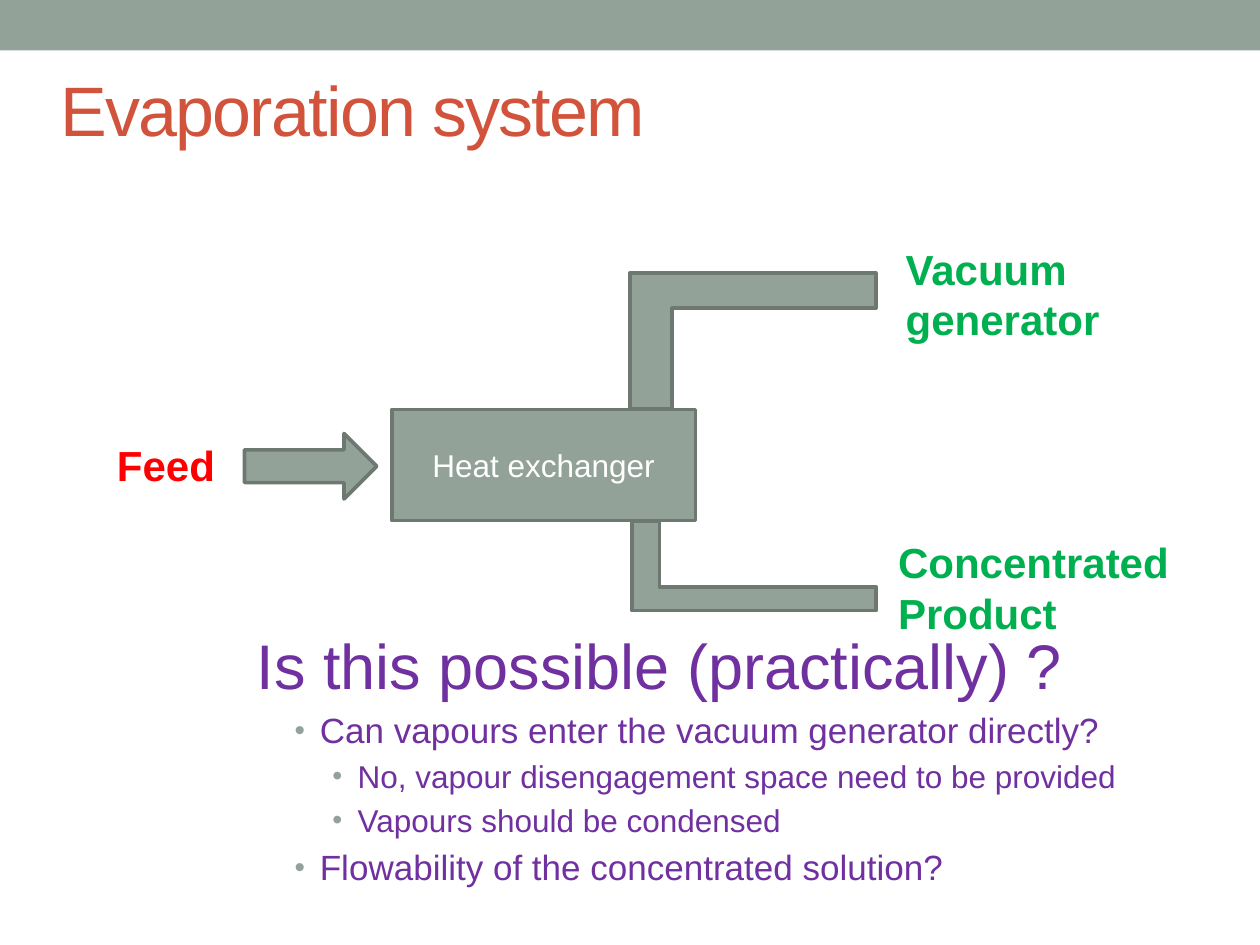
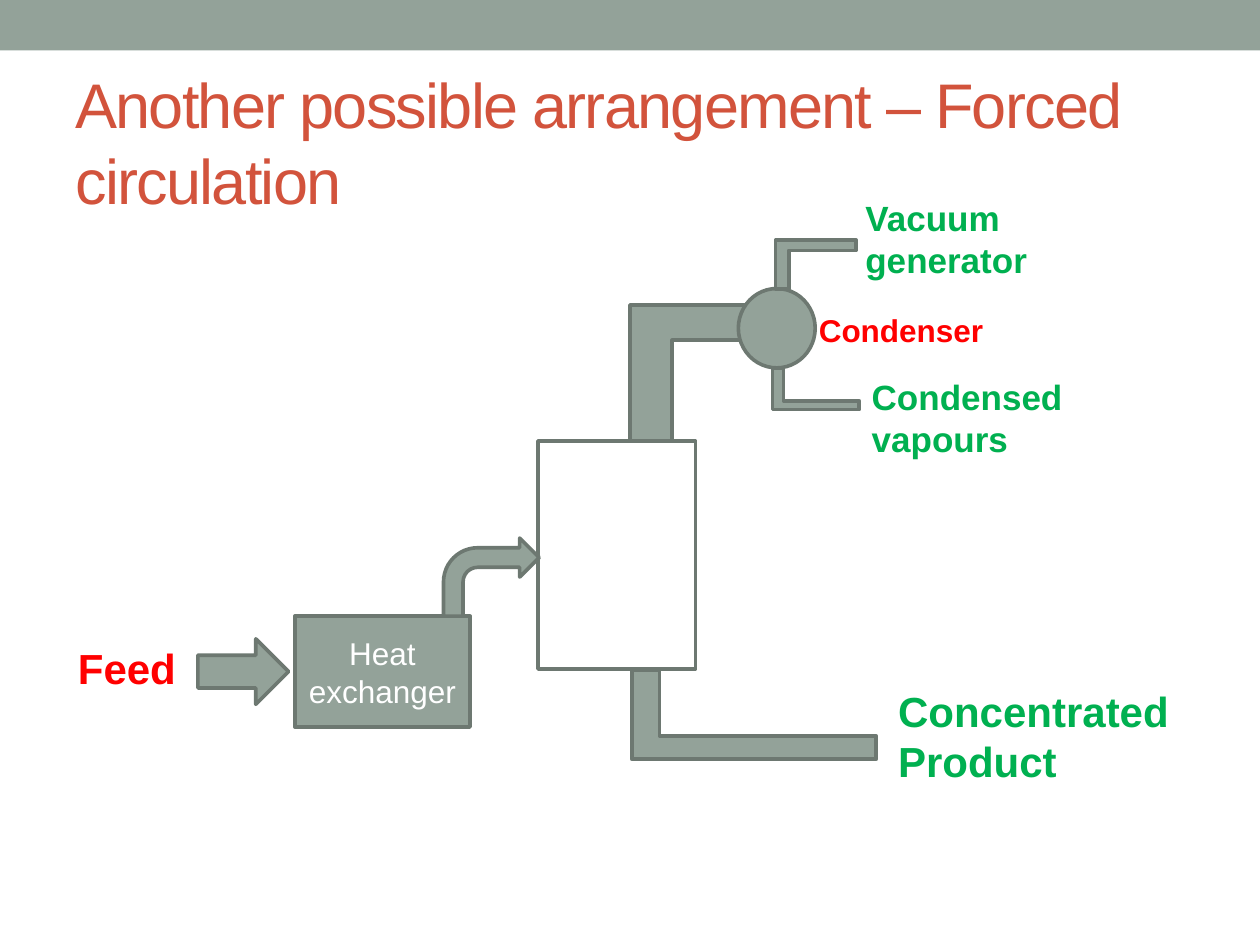
from dataclasses import dataclass

from lxml.etree import SubElement
from pptx import Presentation
from pptx.dml.color import RGBColor
from pptx.enum.shapes import MSO_SHAPE
from pptx.enum.text import MSO_ANCHOR, MSO_AUTO_SIZE, PP_ALIGN
from pptx.oxml.ns import qn
from pptx.util import Inches, Length, Pt

# Shared look; all places are in columns and rows of a 100 by 75 grid
COLUMNS, ROWS = 100, 75
CELL = Inches(0.1)
FONT = "Arial"
SAGE, EDGE, RUST = "93A299", "6D7871", "D2533C"
INPUT, OUTPUT, QUESTION, WHITE = "FF0000", "00B050", "7030A0", "FFFFFF"
EDGE_WIDTH = Pt(2.08)
LINE_HEIGHT = 1.2


@dataclass(frozen=True)
class Area:
    left: float
    top: float
    width: float
    height: float

    def lengths(self) -> tuple[Length, ...]:
        sides = (self.left, self.top, self.width, self.height)
        return tuple(Length(round(side * CELL)) for side in sides)


@dataclass(frozen=True)
class Label:
    text: str
    left: float
    top: float
    width: float
    colour: str = OUTPUT
    size: int = 24


@dataclass(frozen=True)
class Unit:
    area: Area
    kind: MSO_SHAPE = MSO_SHAPE.RECTANGLE
    text: str = ""
    fill: str | None = SAGE


@dataclass(frozen=True)
class Pipe:
    """An elbow with its upright at the left and its other leg on top or below."""
    area: Area
    downward: bool = False
    upright: float = 0.31
    leg: float = 0.26


@dataclass(frozen=True)
class Point:
    text: str
    size: int
    indent: float = 0
    bullet_size: int = 0


def colour(code: str) -> RGBColor:
    return RGBColor.from_string(code)


def style_text(frame, size: float, code: str, bold: bool = False) -> None:
    for para in frame.paragraphs:
        for span in para.runs:
            span.font.name, span.font.size = FONT, Pt(size)
            span.font.bold = bold
            span.font.color.rgb = colour(code)


def add_figure(page, kind: MSO_SHAPE, area: Area, fill: str | None = SAGE, edged: bool = True):
    shape = page.shapes.add_shape(kind, *area.lengths())
    shape.shadow.inherit = False
    if fill:
        shape.fill.solid()
        shape.fill.fore_color.rgb = colour(fill)
    else:
        shape.fill.background()
    if edged:
        shape.line.color.rgb = colour(EDGE)
        shape.line.width = EDGE_WIDTH
    else:
        shape.line.fill.background()
    return shape


def add_page(deck, title: str, area: Area, size: int):
    page = deck.slides.add_slide(deck.slide_layouts[6])
    add_figure(page, MSO_SHAPE.RECTANGLE, Area(0, 0, COLUMNS, 4), edged=False)
    frame = page.shapes.add_textbox(*area.lengths()).text_frame
    frame.word_wrap = True
    frame.vertical_anchor = MSO_ANCHOR.MIDDLE
    frame.text = title
    style_text(frame, size, RUST)
    for span in frame.paragraphs[0].runs:
        span._r.get_or_add_rPr().set("spc", "-100")
    return page


def add_unit(page, unit: Unit) -> None:
    shape = add_figure(page, unit.kind, unit.area, unit.fill)
    if unit.text:
        frame = shape.text_frame
        frame.word_wrap = True
        frame.vertical_anchor = MSO_ANCHOR.MIDDLE
        frame.text = unit.text
        frame.paragraphs[0].alignment = PP_ALIGN.CENTER
        style_text(frame, 18, WHITE)


def add_pipe(page, pipe: Pipe) -> None:
    # A quarter turn swaps width and height around the same centre
    area = pipe.area
    shift = (area.width - area.height) / 2
    upended = Area(area.left + shift, area.top - shift, area.height, area.width)
    shape = add_figure(page, MSO_SHAPE.CORNER, upended)
    shape.adjustments[0], shape.adjustments[1] = pipe.upright, pipe.leg
    shape.rotation = 90
    if pipe.downward:
        shape.element.spPr.find(qn("a:xfrm")).set("flipH", "1")


def add_label(page, label: Label) -> None:
    lines = label.text.count("\n") + 1
    height = 1 + lines * label.size * LINE_HEIGHT * Pt(1) / CELL
    area = Area(label.left, label.top, label.width, height)
    frame = page.shapes.add_textbox(*area.lengths()).text_frame
    frame.word_wrap = False
    frame.auto_size = MSO_AUTO_SIZE.SHAPE_TO_FIT_TEXT
    frame.text = label.text
    style_text(frame, label.size, label.colour, bold=True)


def add_points(page, area: Area, points: list[Point]) -> None:
    frame = page.shapes.add_textbox(*area.lengths()).text_frame
    frame.word_wrap = True
    frame.text = "\n".join(point.text for point in points)
    style_text(frame, points[0].size, QUESTION)
    for para, point in zip(frame.paragraphs, points):
        para.space_before = Pt(point.size * 0.2)
        para.runs[0].font.size = Pt(point.size)
        if point.bullet_size:
            add_bullet(para, point)


def add_bullet(para, point: Point) -> None:
    props = para._p.get_or_add_pPr()
    props.set("marL", str(round(point.indent * CELL)))
    props.set("indent", str(-2 * CELL))
    tint = SubElement(props, qn("a:buClr"))
    SubElement(tint, qn("a:srgbClr"), val=SAGE)
    SubElement(props, qn("a:buSzPct"), val=str(point.bullet_size * 1000))
    SubElement(props, qn("a:buFont"), typeface=FONT)
    SubElement(props, qn("a:buChar"), char="•")


def draw(page, parts: list[Unit | Pipe | Label]) -> None:
    painters = {Unit: add_unit, Pipe: add_pipe, Label: add_label}
    for part in parts:
        painters[type(part)](page, part)


def product_outlet(top: float) -> list[Pipe | Label]:
    return [
        Pipe(Area(50.15, top, 19.4, 7.1), downward=True),
        Label("Concentrated\nProduct", 70.3, top + 0.75, 24.7),
    ]


def build_evaporation_system(deck) -> None:
    page = add_page(deck, "Evaporation system", Area(3.8, 3.2, 90, 10.8), 40)
    add_points(page, Area(19.4, 49.2, 71.9, 18.4), [
        Point("Is this possible (practically) ?", 36),
        Point("Can vapours enter the vacuum generator directly?", 20, 5, 85),
        Point("No, vapour disengagement space need to be provided", 18, 8, 90),
        Point("Vapours should be condensed", 18, 8, 90),
        Point("Flowability of the concentrated solution?", 20, 5, 85),
    ])
    draw(page, [
        Unit(Area(19.4, 34.4, 10.5, 5.2), MSO_SHAPE.RIGHT_ARROW),
        Label("Feed", 8.3, 34.4, 9.9, INPUT),
        Unit(Area(31.1, 32.5, 24.1, 8.8), text="Heat exchanger"),
        Pipe(Area(50, 21.65, 19.5, 10.8)),
        Label("Vacuum\ngenerator", 70.9, 18.8, 17.6),
        *product_outlet(41.35),
    ])


def build_forced_circulation(deck) -> None:
    page = add_page(deck, "Another possible arrangement – Forced circulation",
                    Area(5, 5.8, 90, 10.8), 36)
    draw(page, [
        # Feed and heating
        Unit(Area(15.7, 50.7, 7.2, 5.2), MSO_SHAPE.RIGHT_ARROW),
        Label("Feed", 5.2, 50.5, 9.9, INPUT),
        Unit(Area(23.4, 48.9, 13.9, 8.8), text="Heat exchanger"),
        # Separation vessel and its outlets
        Pipe(Area(50, 24.2, 13, 10.8)),
        Label("Vacuum\ngenerator", 67.7, 15.1, 15, size=20),
        *product_outlet(53.15),
        Unit(Area(42.7, 35, 12.5, 18.1), fill=None),
        # Condenser
        Unit(Area(58.6, 22.9, 6.1, 6.3), MSO_SHAPE.OVAL),
        Pipe(Area(61.55, 19.05, 6.4, 3.9), upright=0.27, leg=0.21),
        Pipe(Area(61.3, 29.2, 6.9, 3.3), downward=True, upright=0.27, leg=0.21),
        Label("Condensed\nvapours", 68.2, 29.3, 17.3, size=20),
        Label("Condenser", 64, 24.2, 15.2, INPUT, 18),
        Unit(Area(35.2, 42.7, 7.6, 6.2), MSO_SHAPE.BENT_ARROW),
    ])


def main() -> None:
    deck = Presentation()
    deck.slide_width, deck.slide_height = COLUMNS * CELL, ROWS * CELL
    build_evaporation_system(deck)
    build_forced_circulation(deck)
    deck.save("out.pptx")


if __name__ == "__main__":
    main()
